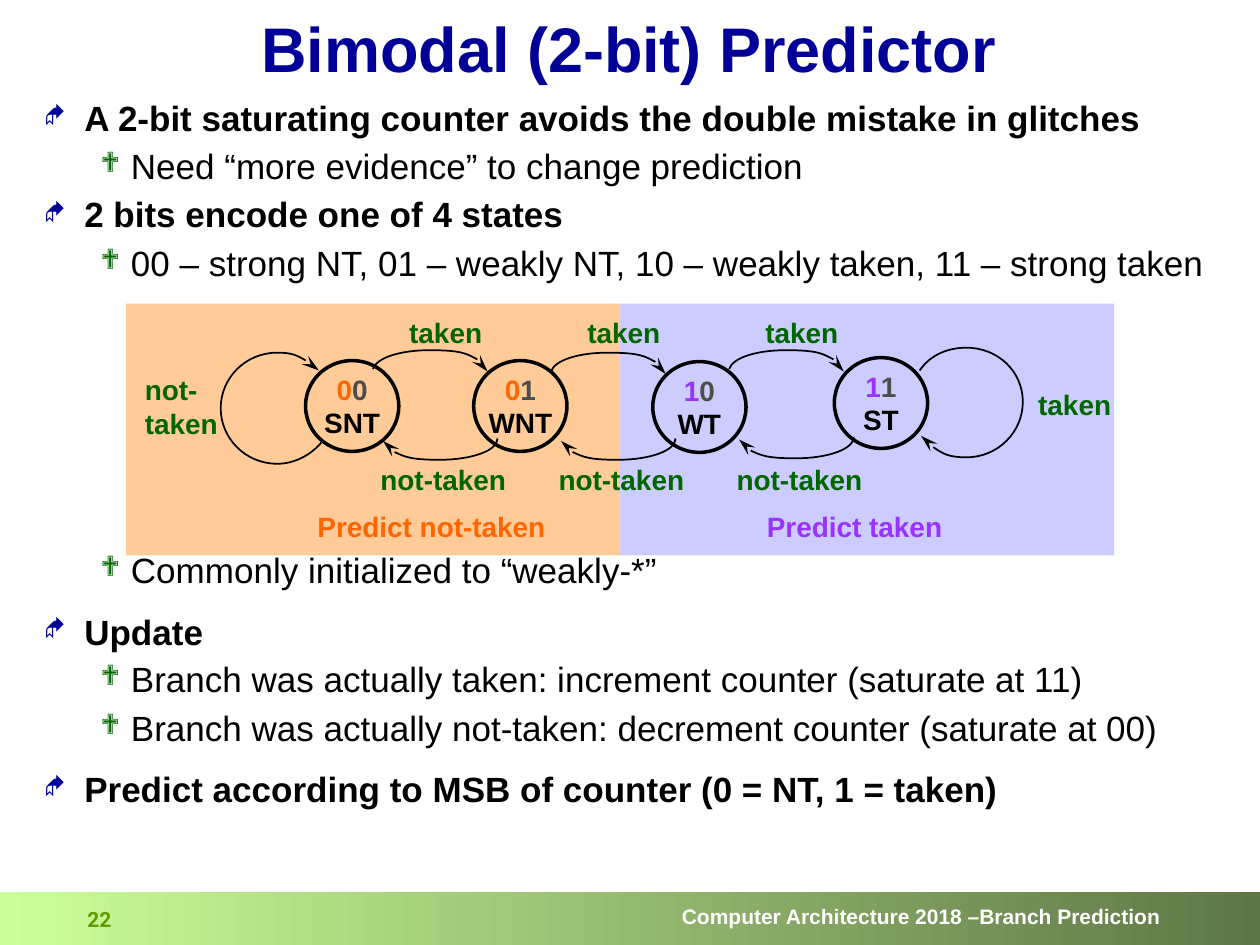
"""Build the bimodal predictor slide."""
import lxml.etree
import pptx
import pptx.dml.color
import pptx.enum.shapes
import pptx.enum.text
import pptx.oxml.ns
import pptx.util

Cm = pptx.util.Cm
Pt = pptx.util.Pt
qn = pptx.oxml.ns.qn
Align = pptx.enum.text.PP_ALIGN
Anchor = pptx.enum.text.MSO_ANCHOR
Shape = pptx.enum.shapes.MSO_SHAPE

COLORS = {
    "navy": "000099", "black": "000000", "green": "006600", "gray": "4D4D4D",
    "orange": "FF6600", "purple": "9933FF", "white": "FFFFFF", "olive": "669900",
    "peach": "FFCC99", "lavender": "CCCCFF", "lime": "CCFF99", "moss": "5E7647",
}
BULLETS = [
    {"char": "◆", "color": "navy", "percent": 70, "left": 0.81, "hang": 0.81},
    {"char": "❖", "color": "green", "percent": 80, "left": 1.75, "hang": 0.61},
]


def rgb(name):
    return pptx.dml.color.RGBColor.from_string(COLORS[name])


class SlideBuilder:
    def __init__(self, page, font="Arial"):
        self.page = page
        self.font = font

    def span(self, para, text, size, color, bold=True, font=None):
        span = para.add_run()
        span.text = text
        span.font.name = font or self.font
        span.font.size = Pt(size)
        span.font.bold = bold
        span.font.color.rgb = rgb(color)

    def paragraphs(self, frame, lines, size, align, spacing=1.0, font=None):
        for index, line in enumerate(lines):
            para = frame.add_paragraph() if index else frame.paragraphs[0]
            para.alignment = align
            para.line_spacing = spacing
            for text, color in line:
                self.span(para, text, size, color, font=font)

    def label(self, left, top, width, height, lines, color, size=16,
              align=Align.LEFT, spacing=1.0, wrap=False, font=None):
        box = self.page.shapes.add_textbox(Cm(left), Cm(top), Cm(width), Cm(height))
        box.text_frame.word_wrap = wrap
        self.paragraphs(box.text_frame, [[(line, color)] for line in lines],
                        size, align, spacing, font)
        return box

    def shape(self, kind, left, top, width, height, fill=None):
        shape = self.page.shapes.add_shape(kind, Cm(left), Cm(top), Cm(width), Cm(height))
        shape.shadow.inherit = False
        shape.line.fill.background()
        if fill:
            shape.fill.solid()
            shape.fill.fore_color.rgb = rgb(fill)
        else:
            shape.fill.background()
        frame = shape.text_frame
        frame.margin_left = frame.margin_right = frame.margin_top = frame.margin_bottom = 0
        frame.vertical_anchor = Anchor.MIDDLE
        return shape

    def state(self, left, top, bits, name, color):
        circle = self.shape(Shape.OVAL, left, top, 1.88, 1.83)
        circle.line.color.rgb = rgb("black")
        circle.line.width = Pt(2)
        circle.text_frame.word_wrap = False
        self.paragraphs(circle.text_frame,
                        [[(bits[0], color), (bits[1], "gray")], [(name, "black")]],
                        16, Align.CENTER)

    def transition(self, controls, dx=0, dy=0):
        points = [(Cm(x + dx), Cm(y + dy)) for x, y in controls]
        builder = self.page.shapes.build_freeform(*points[0])
        builder.add_line_segments(points[1:], close=False)
        arc = builder.convert_to_shape()
        arc.shadow.inherit = False
        arc.fill.background()
        arc.line.color.rgb = rgb("black")
        arc.line.width = Pt(1)
        outline = arc._element.spPr.find(qn("a:ln"))
        lxml.etree.SubElement(outline, qn("a:tailEnd"), type="stealth", w="med", len="lg")
        path = next(arc._element.iter(qn("a:path")))
        segments = path.findall(qn("a:lnTo"))
        for first in range(0, len(segments), 3):
            curve = lxml.etree.SubElement(path, qn("a:cubicBezTo"))
            for segment in segments[first:first + 3]:
                curve.append(segment[0])
                path.remove(segment)

    def bullets(self, left, top, width, height, items):
        box = self.page.shapes.add_textbox(Cm(left), Cm(top), Cm(width), Cm(height))
        frame = box.text_frame
        frame.word_wrap = True
        for index, (level, spacing, text) in enumerate(items):
            para = frame.add_paragraph() if index else frame.paragraphs[0]
            style = BULLETS[level]
            props = para._p.get_or_add_pPr()
            props.set("marL", str(Cm(style["left"])))
            props.set("indent", str(-Cm(style["hang"])))
            color = lxml.etree.SubElement(props, qn("a:buClr"))
            lxml.etree.SubElement(color, qn("a:srgbClr"), val=COLORS[style["color"]])
            lxml.etree.SubElement(props, qn("a:buSzPct"), val=str(style["percent"] * 1000))
            lxml.etree.SubElement(props, qn("a:buFont"), typeface="Wingdings", charset="2")
            lxml.etree.SubElement(props, qn("a:buChar"), char=style["char"])
            para.level = level
            para.line_spacing = spacing
            if index:
                para.space_before = Pt(6)
            self.span(para, text, 20, "black", bold=level == 0)

    def footer(self, text, number):
        bar = self.shape(Shape.RECTANGLE, 0, 17.98, 25.4, 1.07)
        bar.fill.gradient()
        bar.fill.gradient_angle = 0
        for stop, color in zip(bar.fill.gradient_stops, ("lime", "moss")):
            stop.color.rgb = rgb(color)
        bar.text_frame.margin_right = Cm(2)
        self.paragraphs(bar.text_frame, [[(text, "white")]], 12, Align.RIGHT, 0.8)
        self.label(1.27, 18.21, 1.47, 0.71, [number], "olive", 12,
                   Align.CENTER, 0.9, True, "Roboto")


def main():
    deck = pptx.Presentation()
    deck.slide_width, deck.slide_height = Cm(25.4), Cm(19.05)
    page = deck.slides.add_slide(deck.slide_layouts[6])
    build = SlideBuilder(page)

    build.footer("Computer Architecture 2018 –Branch Prediction", "22")
    title = build.label(2.42, 0.2, 20.52, 1.7, ["Bimodal (2-bit) Predictor"], "navy", 36,
                        Align.CENTER, 0.9, True)
    title.text_frame.vertical_anchor = Anchor.MIDDLE
    build.bullets(0.64, 1.91, 24.33, 4.1, [
        (0, 0.9, "A 2-bit saturating counter avoids the double mistake in glitches"),
        (1, 0.9, "Need “more evidence” to change prediction"),
        (0, 0.9, "2 bits encode one of 4 states"),
        (1, 0.9, "00 – strong NT, 01 – weakly NT, 10 – weakly taken, 11 – strong taken"),
    ])
    build.bullets(0.64, 11.03, 24.33, 5.6, [
        (1, 0.9, "Commonly initialized to “weakly-*”"),
        (0, 1.2, "Update"),
        (1, 0.9, "Branch was actually taken: increment counter (saturate at 11)"),
        (1, 0.9, "Branch was actually not-taken: decrement counter (saturate at 00)"),
        (0, 1.2, "Predict according to MSB of counter (0 = NT, 1 = taken)"),
    ])

    for left, fill in ((12.5, "lavender"), (2.54, "peach")):
        build.shape(Shape.RECTANGLE, left, 6.12, 9.96, 5.08, fill)

    taken_arc = [(7.52, 7.44), (7.59, 7.21), (8.08, 7.06), (8.66, 7.06),
                 (9.32, 7.06), (9.83, 7.26), (9.83, 7.49)]
    not_taken_arc = [(10.03, 8.84), (10.03, 9.09), (9.5, 9.27), (8.86, 9.27),
                     (8.28, 9.27), (7.77, 9.12), (7.72, 8.89)]
    for index, (rise, drop) in enumerate(((0, 0), (0.05, 0), (0, -0.03))):
        dx = index * 3.59
        build.label(8 + dx, 6.23, 1.98, 0.94, ["taken"], "green")
        build.label(7.42 + dx, 9.19, 3.05, 0.94, ["not-taken"], "green")
        build.transition(taken_arc, dx, rise)
        build.transition(not_taken_arc, dx, drop)

    build.label(20.68, 7.69, 1.98, 0.94, ["taken"], "green")
    build.label(2.67, 7.39, 1.98, 1.63, ["not-", "taken"], "green")
    build.transition([
        (6.48, 8.92), (6.27, 9.17), (5.94, 9.35), (5.59, 9.35), (4.95, 9.35),
        (4.45, 8.84), (4.45, 8.23), (4.45, 7.62), (4.95, 7.11), (5.59, 7.11),
        (5.89, 7.11), (6.2, 7.24), (6.43, 7.47)])
    build.transition([
        (18.54, 7.47), (18.75, 7.16), (19.1, 7.01), (19.48, 7.01), (20.12, 7.01),
        (20.62, 7.49), (20.62, 8.1), (20.62, 8.71), (20.12, 9.22), (19.48, 9.22),
        (19.13, 9.22), (18.8, 9.07), (18.57, 8.79)])

    for state in ((6.16, 7.27, "00", "SNT", "orange"), (9.55, 7.27, "01", "WNT", "orange"),
                  (13.16, 7.29, "10", "WT", "purple"), (16.82, 7.21, "11", "ST", "purple")):
        build.state(*state)
    build.label(15.21, 10.14, 4.06, 0.94, ["Predict taken"], "purple")
    build.label(6.15, 10.14, 5.13, 0.94, ["Predict not-taken"], "orange")

    deck.save("out.pptx")


if __name__ == "__main__":
    main()
